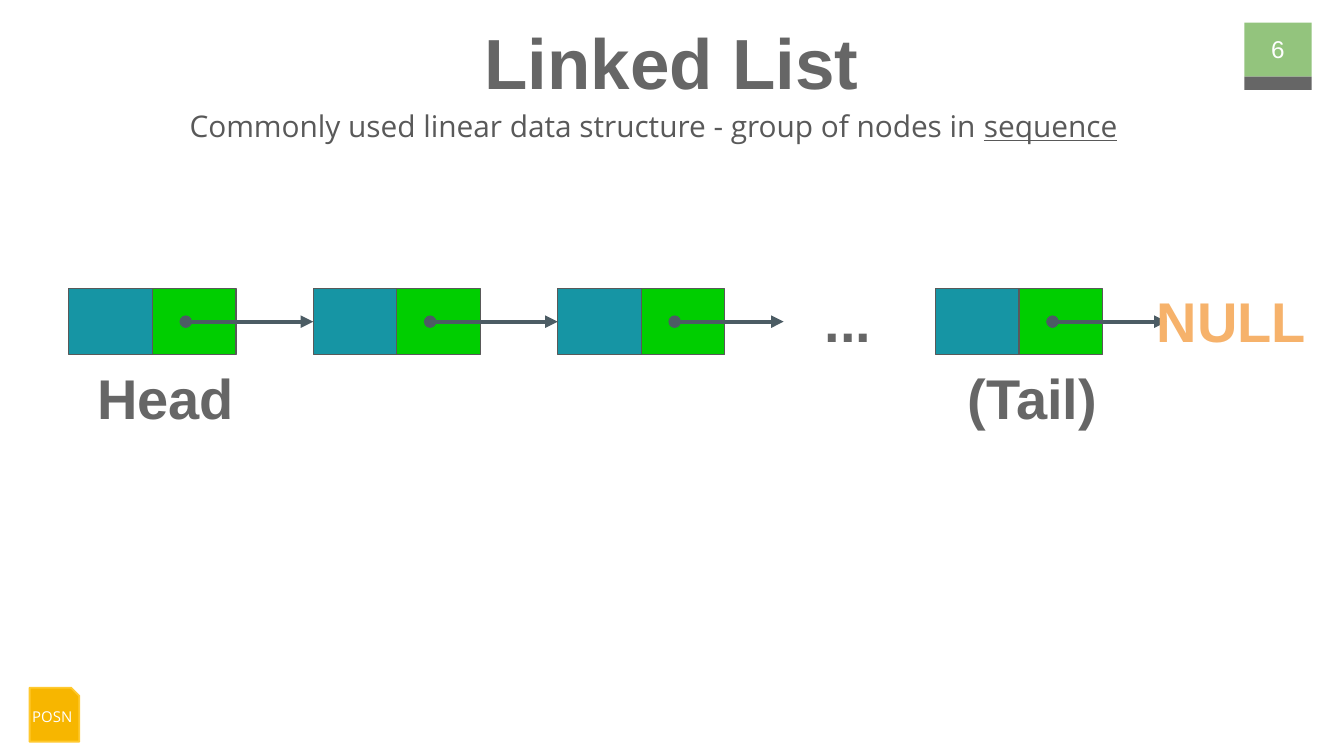
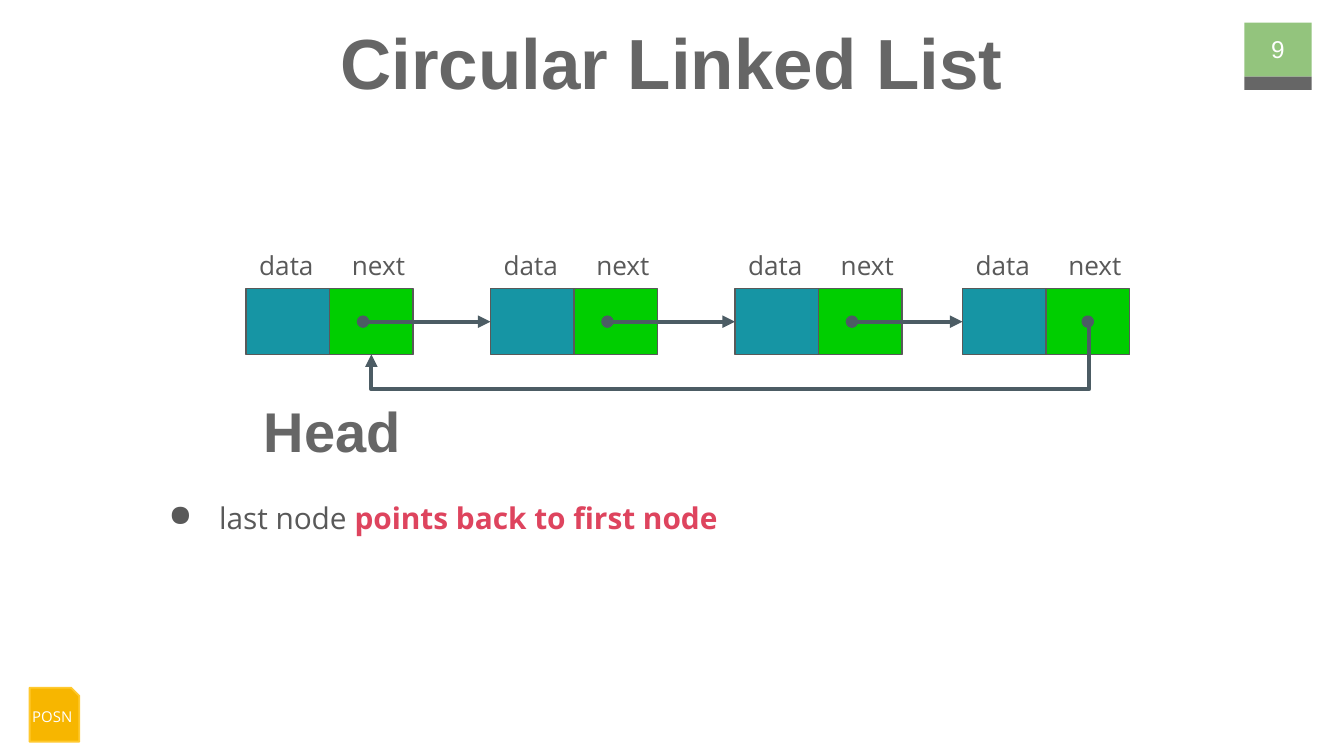
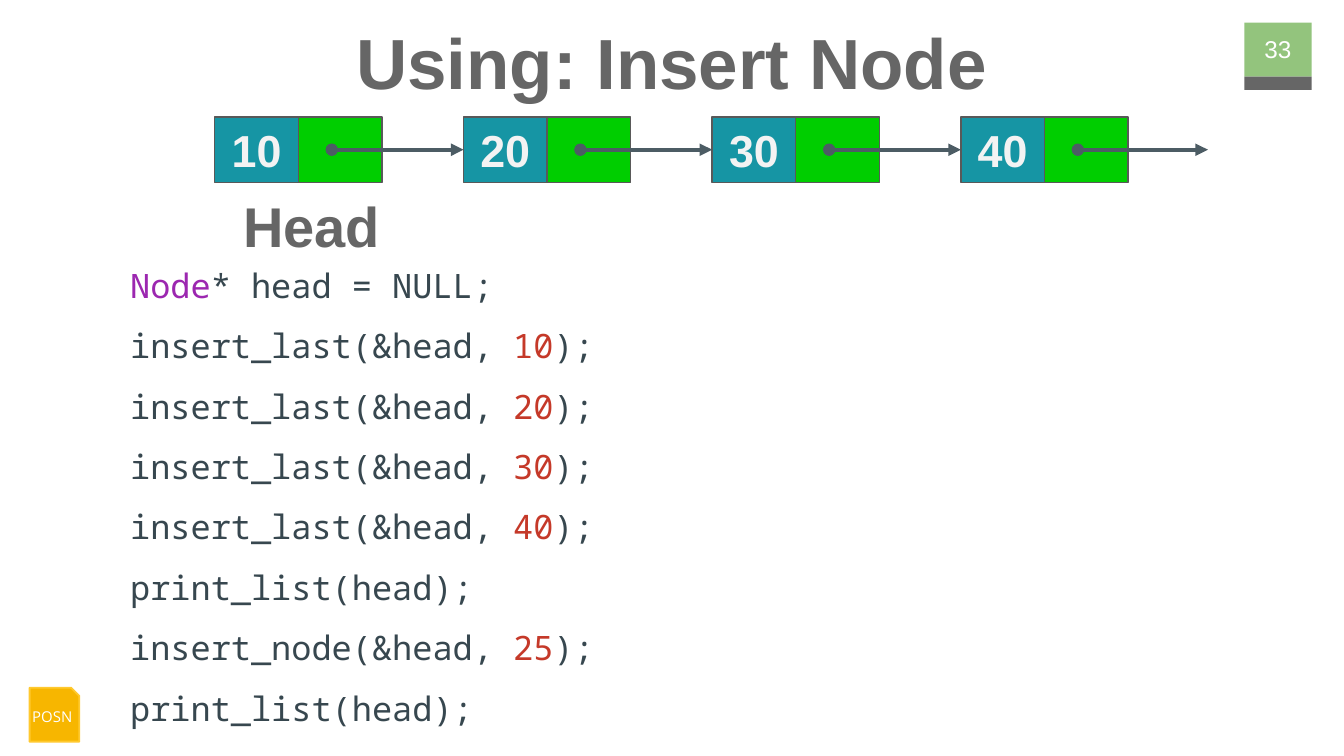
from pptx import Presentation
from pptx.dml.color import RGBColor
from pptx.enum.shapes import MSO_CONNECTOR, MSO_SHAPE
from pptx.enum.text import MSO_ANCHOR, MSO_AUTO_SIZE, PP_ALIGN
from pptx.oxml.ns import qn
from pptx.util import Cm, Pt
from lxml import etree

RECT = MSO_SHAPE.RECTANGLE
SNIP = MSO_SHAPE.SNIP_1_RECTANGLE
STRAIGHT, ELBOW = MSO_CONNECTOR.STRAIGHT, MSO_CONNECTOR.ELBOW
LEFT, CENTER = PP_ALIGN.LEFT, PP_ALIGN.CENTER
TOP, MIDDLE = MSO_ANCHOR.TOP, MSO_ANCHOR.MIDDLE

HEAD_FONT, BODY_FONT, CODE_FONT = "Arial", "Open Sans", "Noto Sans Mono"
WHITE, GRAY, INK = "FFFFFF", "666666", "595959"
TEAL, GREEN, WIRE = "1695A4", "00CE00", "4C5C64"
SAGE, GOLD, AMBER = "93C47D", "F7B600", "FFC92F"
ORANGE, ROSE, PALE = "F6B26B", "DE445E", "F3F3F3"
CODE, TYPE, NUM = "37474F", "9C27B0", "C53929"

CELL_W, CELL_H = 1.58, 1.24
DOT_X = 2.21  # where a link starts, from the left of its node
TAG_W, TAG_H = 1.75, 1.09


def rgb(code):
    return RGBColor.from_string(code)


def sub(parent, tag, **attrs):
    return etree.SubElement(parent, qn(tag), attrs)


def add_bullet(para, char, color):
    props = para._p.get_or_add_pPr()
    props.set("marL", str(Cm(1.27)))
    props.set("indent", str(-Cm(0.95)))
    sub(sub(props, "a:buClr"), "a:srgbClr", val=color)
    sub(props, "a:buChar", char=char)


def write(shape, lines, size=16, font=BODY_FONT, color=INK, bold=False,
          align=LEFT, anchor=TOP, inset=0.25, spacing=None, after=None,
          bullet=None, wrap=True):
    """Fill a shape; each line is a string or a list of (text, changes) runs."""
    frame = shape.text_frame
    frame.auto_size = MSO_AUTO_SIZE.NONE
    frame.word_wrap = wrap
    frame.vertical_anchor = anchor
    frame.margin_left = frame.margin_right = Cm(inset)
    frame.margin_top = frame.margin_bottom = Cm(inset)
    for i, line in enumerate([lines] if isinstance(lines, str) else lines):
        para = frame.add_paragraph() if i else frame.paragraphs[0]
        if bullet:
            add_bullet(para, bullet, color)
        para.alignment = align
        if spacing:
            para.line_spacing = spacing
        if after:
            para.space_after = Pt(after)
        for words, change in [(line, {})] if isinstance(line, str) else line:
            run = para.add_run()
            run.text = words
            run.font.size, run.font.name = Pt(size), font
            run.font.bold = change.get("bold", bold)
            run.font.underline = change.get("line", False)
            run.font.color.rgb = rgb(change.get("color", color))


def label(slide, lines, x, y, w, h, **fmt):
    box = slide.shapes.add_textbox(Cm(x), Cm(y), Cm(w), Cm(h))
    write(box, lines, **fmt)


def block(slide, x, y, w, h, fill, line=None, width=0.75, kind=RECT):
    shape = slide.shapes.add_shape(kind, Cm(x), Cm(y), Cm(w), Cm(h))
    shape.shadow.inherit = False
    shape.fill.solid()
    shape.fill.fore_color.rgb = rgb(fill)
    if line:
        shape.line.color.rgb = rgb(line)
        shape.line.width = Pt(width)
    else:
        shape.line.fill.background()
    return shape


def link(slide, x, y, x2, y2, kind=STRAIGHT):
    """Draw a pointer with a dot at its start and an arrow at its end."""
    wire = slide.shapes.add_connector(kind, Cm(x), Cm(y), Cm(x2), Cm(y2))
    wire.line.color.rgb = rgb(WIRE)
    wire.line.width = Pt(2.25)
    ends = wire.line._get_or_add_ln()
    sub(ends, "a:headEnd", type="oval")
    sub(ends, "a:tailEnd", type="triangle")
    sub(wire._element.spPr, "a:effectLst")
    return wire


def big(slide, words, x, y, w=3.66, color=GRAY):
    label(slide, words, x, y, w, 0.94, size=30, font=HEAD_FONT, color=color,
          bold=True, align=CENTER, anchor=MIDDLE)


def node(slide, x, y, value=None):
    data = block(slide, x, y, CELL_W, CELL_H, TEAL, INK)
    if value:
        write(data, value, size=24, font=HEAD_FONT, color=PALE, bold=True,
              align=CENTER, anchor=MIDDLE)
    block(slide, x + CELL_W, y, CELL_W, CELL_H, GREEN, INK)
    return data


def chain(slide, xs, y, values=(), ends=None):
    """Draw a row of nodes; ends maps a node to the x of a loose pointer."""
    ends = ends or {}
    cells = [node(slide, x, y, values[i] if values else None)
             for i, x in enumerate(xs)]
    mid = y + CELL_H / 2
    for i, x in enumerate(xs):
        if i in ends:
            link(slide, x + DOT_X, mid, ends[i], mid)
        elif i + 1 < len(xs):
            wire = link(slide, x + DOT_X, mid, xs[i + 1], mid)
            wire.end_connect(cells[i + 1], 1)


def loop(slide, first, last, y):
    """Lead the last node's pointer back under the row to the first node."""
    half = 1.5 * CELL_W
    wire = link(slide, last + half, y + CELL_H / 2, first + half, y + CELL_H,
                ELBOW)
    shape = wire._element.spPr.find(qn("a:prstGeom"))
    shape.set("prst", "bentConnector4")
    guides = shape.find(qn("a:avLst"))
    if guides is None:
        guides = sub(shape, "a:avLst")
    for name, val in (("adj1", -200), ("adj2", 206000)):
        sub(guides, "a:gd", name=name, fmla=f"val {val}")


def start(deck, title, number):
    """Add a slide with its title, page number and corner badge."""
    slide = deck.slides.add_slide(deck.slide_layouts[5])
    block(slide, 23.52, 0.43, 1.27, 1.02, SAGE)
    block(slide, 23.52, 1.45, 1.27, 0.25, GRAY)
    badge = block(slide, 0.56, 13, 0.94, 1.02, GOLD, AMBER, 1, SNIP)
    write(badge, "POSN", size=8, color=WHITE, align=CENTER, anchor=MIDDLE,
          inset=0, wrap=False)
    head = slide.shapes.title
    head.left, head.top = Cm(0.86), Cm(0.1)
    head.width, head.height = Cm(23.67), Cm(1.6)
    write(head, title, size=38, font=HEAD_FONT, color=GRAY, bold=True,
          align=CENTER)
    label(slide, str(number), 23.39, 0.38, 1.52, 1.09, size=13,
          font=HEAD_FONT, color=WHITE, align=CENTER, anchor=MIDDLE)
    return slide


def linear(deck):
    slide = start(deck, "Linked List", 6)
    intro = [("Commonly used linear data structure - group of nodes in ", {}),
             ("sequence", {"line": True})]
    label(slide, [intro], 2.95, 1.68, 18.8, 1.09, align=CENTER, spacing=1.15,
          after=16)
    left, tail, y = 1.3, 17.68, 5.46
    xs = [left + 4.62 * i for i in range(3)] + [tail]
    chain(slide, xs, y, ends={2: 14.81, 3: 22.05})
    big(slide, "Head", left, y + 1.58)
    big(slide, "(Tail)", tail, y + 1.58)
    big(slide, "NULL", 21.44, y + 0.13, color=ORANGE)
    big(slide, "...", 15.01, y + 0.13, w=2.03)


def circular(deck):
    slide = start(deck, "Circular Linked List", 9)
    left, last, y = 4.65, 18.19, 5.46
    xs = [left + 4.62 * i for i in range(3)] + [last]
    for x in xs:
        for i, name in enumerate(("data", "next")):
            label(slide, name, x + TAG_W * i, y - TAG_H, TAG_W, TAG_H,
                  size=14, spacing=1.15, after=16)
    chain(slide, xs, y)
    loop(slide, left, last, y)
    big(slide, "Head", left - 0.2, y + 2.21)
    point = [("last node ", {}),
             ("points back to first node", {"color": ROSE, "bold": True})]
    label(slide, [point], 2.62, 9.09, 20.78, 4.06, spacing=1.15, bullet="●")


def call(name, value):
    return [(f"{name}(&head, ", {}), (value, {"color": NUM}), (");", {})]


def insert(deck):
    slide = start(deck, "Using: Insert Node", 33)
    values = ["10", "20", "30", "40"]
    show = "print_list(head);"
    code = [[("Node", {"color": TYPE}), ("* head = NULL;", {})]]
    code += [call("insert_last", value) for value in values]
    code += [show, call("insert_node", "25"), show]
    label(slide, code, 2.21, 4.37, 22.33, 9.25, size=18, font=CODE_FONT,
          color=CODE, spacing=1.5)
    left, y = 4.06, 2.21
    xs = [left + 4.7 * i for i in range(4)]
    chain(slide, xs, y, values, {3: 22.83})
    big(slide, "Head", left, y + 1.58)


def main():
    deck = Presentation()
    deck.slide_width, deck.slide_height = Cm(25.4), Cm(14.29)
    linear(deck)
    circular(deck)
    insert(deck)
    deck.save("out.pptx")


if __name__ == "__main__":
    main()
